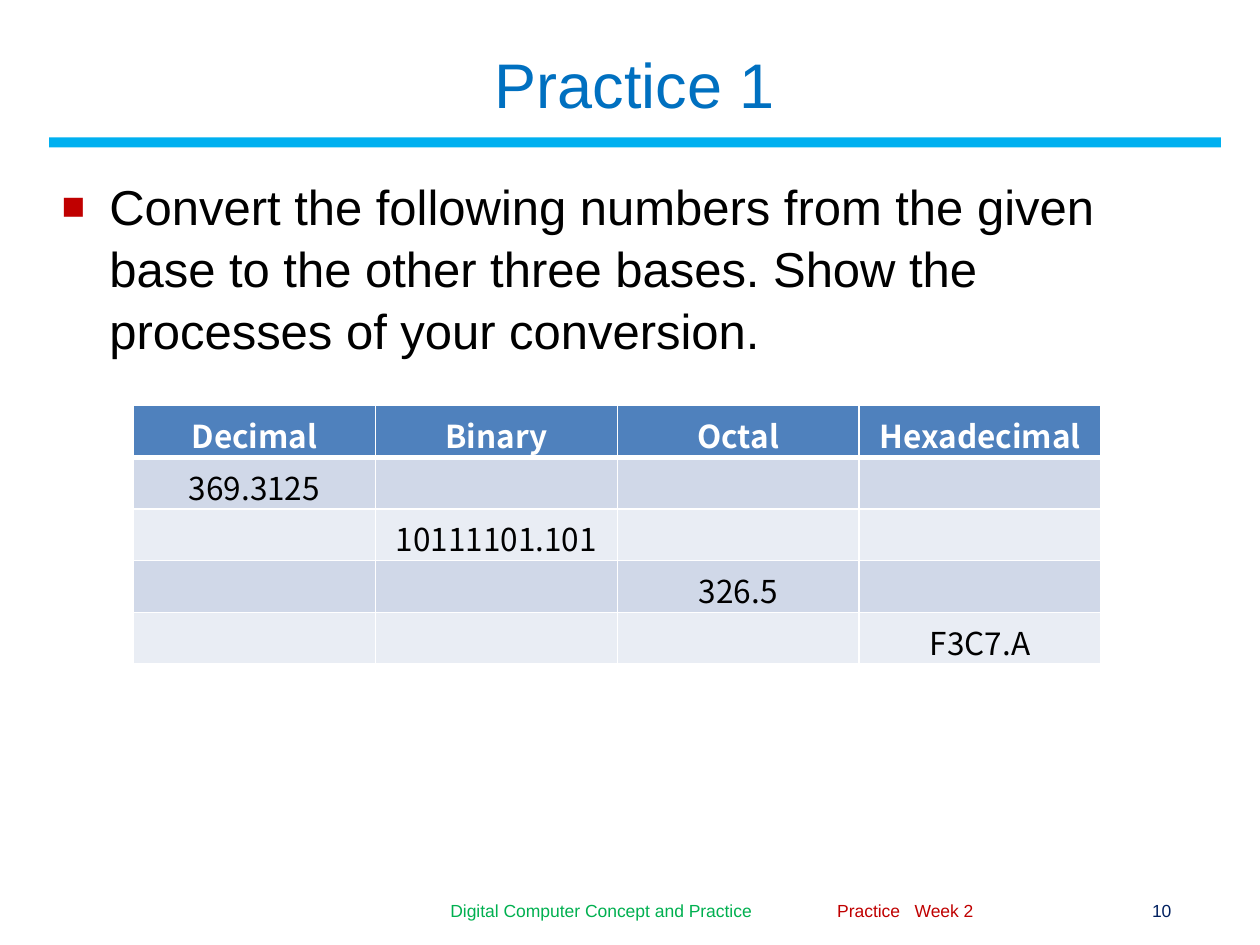
from pptx import Presentation
from pptx.dml.color import RGBColor as Rgb
from pptx.enum.shapes import MSO_SHAPE as Shape
from pptx.enum.text import MSO_ANCHOR as Anchor, MSO_AUTO_SIZE as Fit, PP_ALIGN as Align
from pptx.oxml import parse_xml
from pptx.oxml.ns import nsdecls
from pptx.util import Inches as In, Pt

HUES = {
    "title": "0070C0", "rule": "00B0F0", "text": "000000", "bullet": "C00000",
    "course": "00B050", "week": "C00000", "page": "002060",
    "head": "4F81BD", "odd": "D0D8E8", "even": "E9EDF4", "white": "FFFFFF",
}


def hue(name):
    return Rgb.from_string(HUES[name])


def write(frame, text, size, color, font="Arial", bold=False, align=Align.CENTER):
    """Fill a text frame with one formatted paragraph and return it."""
    frame.word_wrap = True
    para = frame.paragraphs[0]
    para.alignment = align
    run = para.add_run()
    run.text = text
    run.font.name, run.font.size, run.font.bold = font, Pt(size), bold
    run.font.color.rgb = hue(color)
    return para


deck = Presentation()
deck.slide_width, deck.slide_height = In(10), In(7.5)
slide = deck.slides.add_slide(deck.slide_layouts[5])
shapes = slide.shapes
left, wide = In(0.39), In(9.3)

# Title and the rule below it
title = shapes.title
title.left, title.top, title.width, title.height = left, In(0.3), wide, In(0.72)
title.text_frame.auto_size = Fit.NONE
title.text_frame.vertical_anchor = Anchor.MIDDLE
write(title.text_frame, "Practice 1", 36, "title")

rule = shapes.add_shape(Shape.RECTANGLE, left, In(1.09), wide, In(0.08))
rule.shadow.inherit = False
rule.fill.solid()
rule.fill.fore_color.rgb = hue("rule")
rule.line.fill.background()

# Task with a square bullet
task = shapes.add_textbox(left, In(1.33), wide, In(5.63))
para = write(
    task.text_frame,
    "Convert the following numbers from the given base to the other three bases. "
    "Show the processes of your conversion.",
    28, "text", align=Align.LEFT)
para.line_spacing = 1.05
props = para._p.get_or_add_pPr()
props.set("marL", str(In(0.38)))
props.set("indent", str(-In(0.38)))
for mark in (f'<a:buClr {nsdecls("a")}><a:srgbClr val="{HUES["bullet"]}"/></a:buClr>',
             f'<a:buSzPct {nsdecls("a")} val="80000"/>',
             f'<a:buFont {nsdecls("a")} typeface="Arial"/>',
             f'<a:buChar {nsdecls("a")} char="■"/>'):
    props.append(parse_xml(mark))

# Number table: each row gives one base, on the diagonal
heads = ["Decimal", "Binary", "Octal", "Hexadecimal"]
given = ["369.3125", "10111101.101", "326.5", "F3C7.A"]
count = len(heads)
grid = shapes.add_table(count + 1, count, In(1.06), In(3.22), In(7.68), In(2.05)).table
for r in range(count + 1):
    for c in range(count):
        cell = grid.cell(r, c)
        cell.vertical_anchor = Anchor.MIDDLE
        props = cell._tc.get_or_add_tcPr()
        for side in "LRTB":
            thick = (r, side) in ((0, "B"), (1, "T"))
            props.append(parse_xml(
                f'<a:ln{side} {nsdecls("a")} w="{Pt(3 if thick else 1)}"><a:solidFill>'
                f'<a:srgbClr val="{HUES["white"]}"/></a:solidFill></a:ln{side}>'))
        cell.fill.solid()
        cell.fill.fore_color.rgb = hue("head" if r == 0 else "odd" if r % 2 else "even")
        if r == 0:
            write(cell.text_frame, heads[c], 18, "white", "Noto Sans CJK KR", True)
        elif c == r - 1:
            write(cell.text_frame, given[c], 18, "text", "Noto Sans CJK KR")

# Footer
for text, x, span, color in (
        ("Digital Computer Concept and Practice", 3.05, 3.44, "course"),
        ("Practice   Week 2", 6.48, 1.41, "week"),
        ("10", 8.75, 0.94, "page")):
    foot = shapes.add_textbox(In(x), In(7.11), In(span), In(0.24))
    foot.text_frame.vertical_anchor = Anchor.MIDDLE
    write(foot.text_frame, text, 10, color)

deck.save("out.pptx")
